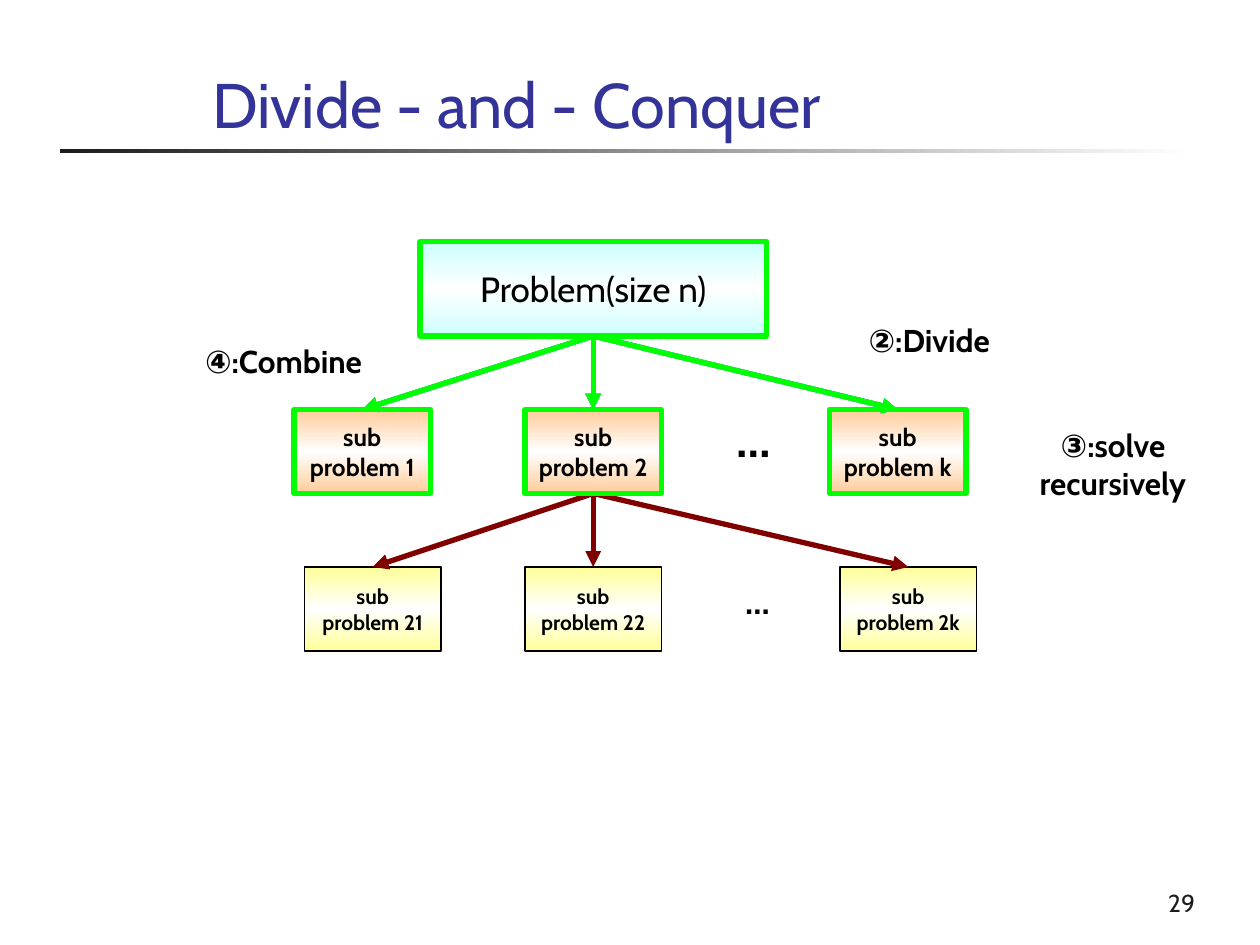
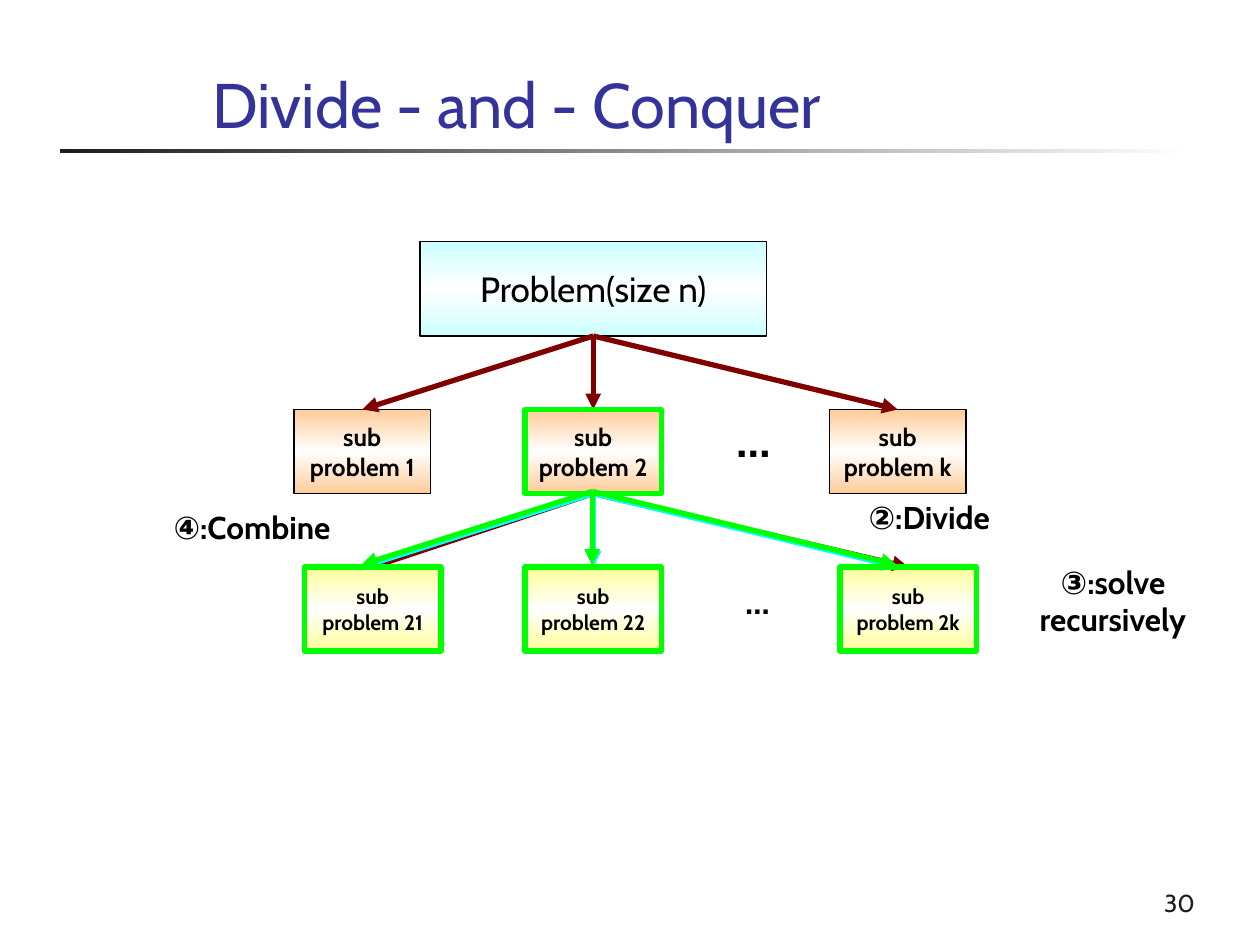
from copy import deepcopy
from dataclasses import dataclass

from lxml.etree import SubElement
from pptx import Presentation
from pptx.dml.color import RGBColor
from pptx.enum.shapes import MSO_CONNECTOR as Connector, MSO_SHAPE as Shape
from pptx.enum.text import MSO_ANCHOR as Anchor, MSO_AUTO_SIZE as AutoSize, PP_ALIGN as Align
from pptx.oxml.ns import qn
from pptx.util import Emu, Pt

EMU_PER_PX = 7620
BOTTOM, TOP = 2, 0


@dataclass(frozen=True)
class Theme:
    """Colours, fonts and type sizes shared by the slides."""
    ink: str = "000000"
    paper: str = "FFFFFF"
    title: str = "333399"
    dark: str = "1C1C1C"
    problem: str = "CCFFFF"
    sub: str = "FFCC99"
    leaf: str = "FFFF99"
    branch: str = "800000"
    glow: str = "00FFFF"
    active: str = "00FF00"
    font: str = "Cabin"
    symbol_font: str = "Arial"
    title_size: int = 36
    problem_size: int = 20
    label_size: int = 18
    sub_size: int = 14
    leaf_size: int = 12
    number_size: int = 14
    thin: float = 0.75
    thick: float = 3


THEME = Theme()
ROW_TOPS = {"sub": 390, "leaf": 540}
SUB_LEFTS = (280, 500, 790)
LEAF_LEFTS = (290, 500, 800)


def px(*lengths):
    """Turn pixel lengths into EMU."""
    return [Emu(length * EMU_PER_PX) for length in lengths]


def rgb(code):
    """Return the colour for a hex code."""
    return RGBColor.from_string(code)


def style(paragraph, size, color=THEME.ink, bold=False, align=Align.CENTER):
    """Format one paragraph in the theme font."""
    paragraph.alignment = align
    font = paragraph.font
    font.name, font.size, font.bold = THEME.font, Pt(size), bold
    font.color.rgb = rgb(color)


def fill_gradient(shape, colors, angle):
    """Fill a shape with evenly spaced gradient colours."""
    shape.fill.gradient()
    shape.fill.gradient_angle = angle
    stop_list = shape.element.spPr.find(qn("a:gradFill")).find(qn("a:gsLst"))
    for _ in colors[2:]:
        stop_list.append(deepcopy(stop_list[0]))
    for index, (stop, color) in enumerate(zip(shape.fill.gradient_stops, colors)):
        stop.position = index / (len(colors) - 1)
        stop.color.rgb = rgb(color)


def add_rectangle(slide, box, line_color, line_width):
    """Add an outlined rectangle without fill."""
    rectangle = slide.shapes.add_shape(Shape.RECTANGLE, *px(*box))
    rectangle.shadow.inherit = False
    rectangle.fill.background()
    rectangle.line.color.rgb = rgb(line_color)
    rectangle.line.width = Pt(line_width)
    return rectangle


def add_node(slide, box, text, tint, size, bold=True):
    """Add a tinted problem box with centred text."""
    node = add_rectangle(slide, box, THEME.ink, THEME.thin)
    fill_gradient(node, (tint, THEME.paper, tint), 90)
    frame = node.text_frame
    frame.text = text
    frame.word_wrap = False
    frame.vertical_anchor = Anchor.MIDDLE
    for paragraph in frame.paragraphs:
        style(paragraph, size, bold=bold)
    return node


def add_row(slide, lefts, top, suffixes, tint, size):
    """Add one level of subproblem boxes."""
    return [add_node(slide, (left, top, 130, 80), f"sub\nproblem {suffix}", tint, size)
            for left, suffix in zip(lefts, suffixes)]


def add_arrow(slide, start, end, color):
    """Add a thick arrow between two points."""
    arrow = slide.shapes.add_connector(Connector.STRAIGHT, *px(*start, *end))
    arrow.line.color.rgb = rgb(color)
    arrow.line.width = Pt(THEME.thick)
    properties = arrow.element.spPr
    SubElement(properties.find(qn("a:ln")), qn("a:tailEnd"), type="triangle")
    SubElement(properties, qn("a:effectLst"))
    return arrow


def join(slide, parent, children, color):
    """Connect a parent box to each of its children."""
    for child in children:
        arrow = add_arrow(slide, (0, 0), (0, 0), color)
        arrow.begin_connect(parent, BOTTOM)
        arrow.end_connect(child, TOP)


def add_fan(slide, x, y, color):
    """Add three free arrows that spread from one point."""
    for reach in (-220, 0, 290):
        add_arrow(slide, (x, y), (x + reach, y + 70), color)


def add_textbox(slide, box, wrap=True, auto_size=AutoSize.SHAPE_TO_FIT_TEXT):
    """Add an empty text box and return its frame."""
    frame = slide.shapes.add_textbox(*px(*box)).text_frame
    frame.word_wrap = wrap
    frame.auto_size = auto_size
    return frame


def add_ellipsis(slide, box, size):
    """Add the dots that stand for further boxes in a row."""
    dots = add_textbox(slide, box, wrap=False).paragraphs[0]
    dots.text = "…"
    style(dots, size, bold=True, align=Align.LEFT)


def add_step(slide, box, mark, text):
    """Add a step label led by its circled number."""
    step = add_textbox(slide, box).paragraphs[0]
    style(step, THEME.label_size, bold=True)
    number = step.add_run()
    number.text = mark
    number.font.name = THEME.symbol_font
    step.add_run().text = text


def add_steps(slide, divide, solve, combine):
    """Add the three step labels at their corners."""
    add_step(slide, (*divide, 190, 48), "②", ":Divide")
    add_step(slide, (*solve, 240, 84), "③", ":solve recursively")
    add_step(slide, (*combine, 220, 48), "④", ":Combine")


def highlight(slide, boxes):
    """Outline boxes in the active colour."""
    for box in boxes:
        add_rectangle(slide, box, THEME.active, THEME.thick)


def outline_of(node):
    """Return the pixel box of a node."""
    return [length // EMU_PER_PX for length in (node.left, node.top, node.width, node.height)]


def add_frame(deck, number):
    """Add a slide with its title, rule and page number."""
    slide = deck.slides.add_slide(deck.slide_layouts[5])
    title = slide.shapes.title
    title.left, title.top, title.width, title.height = px(190, 56, 940, 84)
    title.text_frame.text = "Divide - and - Conquer"
    title.text_frame.vertical_anchor = Anchor.TOP
    title.text_frame.auto_size = AutoSize.NONE
    style(title.text_frame.paragraphs[0], THEME.title_size, THEME.title, align=Align.LEFT)

    rule = slide.shapes.add_shape(Shape.RECTANGLE, *px(57, 142, 1080, 4))
    rule.shadow.inherit = False
    rule.line.fill.background()
    fill_gradient(rule, (THEME.dark, THEME.paper), 0)

    page = add_textbox(slide, (900, 820, 250, 60), auto_size=AutoSize.NONE)
    page.vertical_anchor = Anchor.BOTTOM
    page.text = str(number)
    style(page.paragraphs[0], THEME.number_size, THEME.dark, align=Align.RIGHT)
    return slide


def add_tree(slide):
    """Draw the problem tree and return its three levels."""
    problem = add_node(slide, (400, 230, 330, 90), "Problem(size n)",
                       THEME.problem, THEME.problem_size, bold=False)
    subs = add_row(slide, SUB_LEFTS, ROW_TOPS["sub"], ("1", "2", "k"),
                   THEME.sub, THEME.sub_size)
    add_ellipsis(slide, (690, 383, 64, 68), 28)
    join(slide, problem, subs, THEME.branch)
    leaves = add_row(slide, LEAF_LEFTS, ROW_TOPS["leaf"], ("21", "22", "2k"),
                     THEME.leaf, THEME.leaf_size)
    add_ellipsis(slide, (698, 546, 53, 53), 20)
    join(slide, subs[1], leaves, THEME.branch)
    return problem, subs, leaves


def add_first_level(deck):
    """Show the split of the whole problem."""
    slide = add_frame(deck, 29)
    problem, subs, _ = add_tree(slide)
    add_steps(slide, divide=(790, 300), solve=(940, 400), combine=(160, 320))
    join(slide, problem, subs, THEME.glow)
    highlight(slide, map(outline_of, subs))
    join(slide, problem, subs, THEME.active)
    highlight(slide, [outline_of(problem)])


def add_second_level(deck):
    """Show the split of the second subproblem."""
    slide = add_frame(deck, 30)
    _, subs, leaves = add_tree(slide)
    add_steps(slide, divide=(790, 468), solve=(940, 530), combine=(130, 478))
    add_fan(slide, 565, 470, THEME.glow)
    highlight(slide, map(outline_of, leaves))
    add_fan(slide, 564, 468, THEME.active)
    highlight(slide, [outline_of(subs[1])])


def main():
    """Build and save the deck."""
    deck = Presentation()
    deck.slide_width, deck.slide_height = px(1200, 900)
    add_first_level(deck)
    add_second_level(deck)
    deck.save("out.pptx")


if __name__ == "__main__":
    main()
